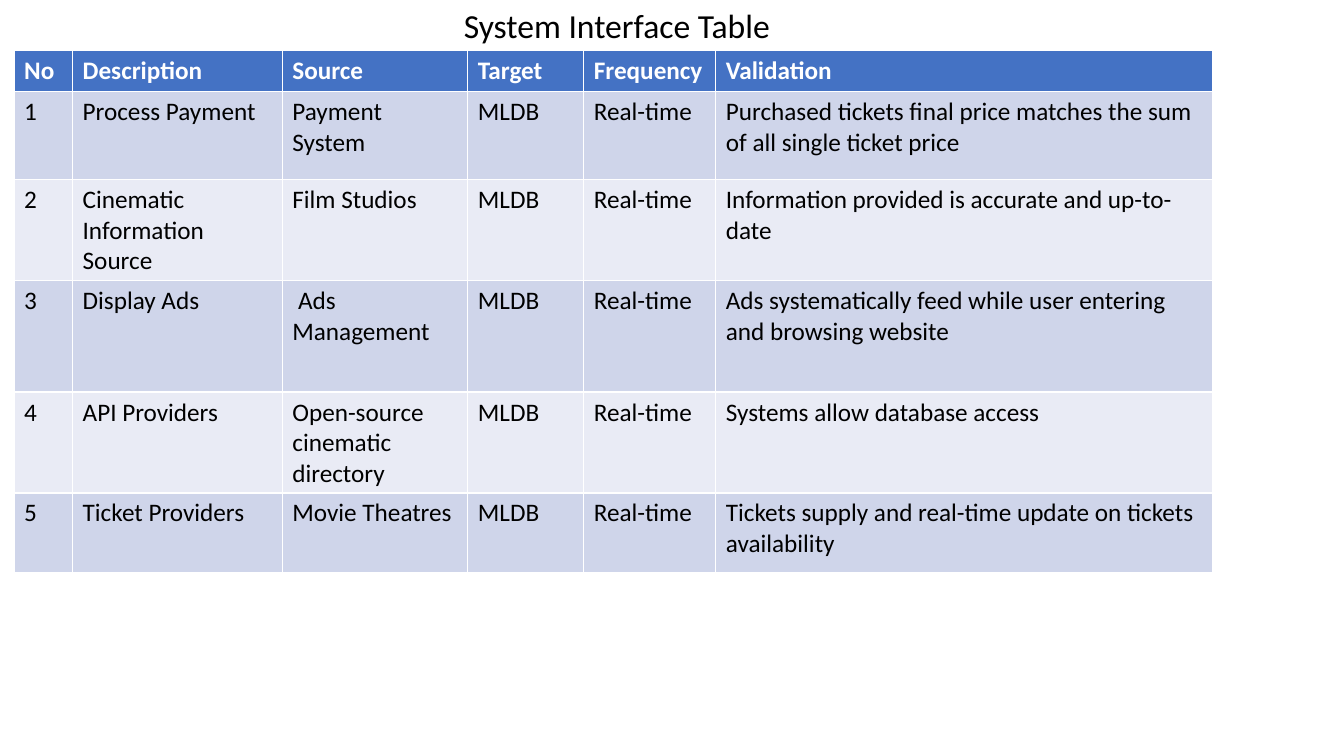
import pptx
import pptx.dml.color
import pptx.enum.text
import pptx.util

SLIDE_WIDTH, SLIDE_HEIGHT = 13.33, 7.5
FONT = "Calibri"
HEADER_FILL = "4472C4"
BAND_FILLS = ("CFD5EA", "E9EBF5")

COLUMN_WIDTHS = (0.58, 2.08, 1.84, 1.15, 1.31, 4.93)
ROW_HEIGHTS = (0.41, 0.87, 0.73, 1.11, 0.87, 0.79)
HEADINGS = ("No", "Description", "Source", "Target", "Frequency", "Validation")
TARGET, FREQUENCY = "MLDB", "Real-time"
INTERFACES = (
    ("Process Payment", "Payment System",
     "Purchased tickets final price matches the sum of all single ticket price"),
    ("Cinematic Information Source", "Film Studios",
     "Information provided is accurate and up-to-date"),
    ("Display Ads", " Ads Management",
     "Ads systematically feed while user entering and browsing website"),
    ("API Providers", "Open-source cinematic directory",
     "Systems allow database access"),
    ("Ticket Providers", "Movie Theatres",
     "Tickets supply and real-time update on tickets availability"),
)


def color(value):
    """Turn a hex string into a colour."""
    return pptx.dml.color.RGBColor.from_string(value)


def format_text(frame, size, value, bold=False):
    """Set the font of every run in a text frame."""
    for para in frame.paragraphs:
        for run in para.runs:
            run.font.name = FONT
            run.font.size = pptx.util.Pt(size)
            run.font.bold = bold
            run.font.color.rgb = color(value)


def add_title(page, text):
    """Place the title in the narrow strip above the table."""
    title = page.shapes.title
    title.left, title.top = pptx.util.Inches(4.5), 0
    title.width, title.height = pptx.util.Inches(3.27), pptx.util.Inches(0.5)
    frame = title.text_frame
    frame.text = text
    frame.word_wrap = False
    frame.auto_size = pptx.enum.text.MSO_AUTO_SIZE.SHAPE_TO_FIT_TEXT
    frame.vertical_anchor = pptx.enum.text.MSO_ANCHOR.TOP
    frame.paragraphs[0].alignment = pptx.enum.text.PP_ALIGN.LEFT
    format_text(frame, 24, "000000")


def fill_cell(cell, text, fill, text_color, bold):
    """Write and colour one table cell."""
    cell.text = text
    cell.fill.solid()
    cell.fill.fore_color.rgb = color(fill)
    format_text(cell.text_frame, 18, text_color, bold)


def add_interface_table(page, left, top):
    """Add the header row and the banded interface rows."""
    rows = [HEADINGS]
    for number, (description, source, validation) in enumerate(INTERFACES, 1):
        rows.append((str(number), description, source, TARGET, FREQUENCY, validation))
    frame = page.shapes.add_table(
        len(rows), len(HEADINGS), pptx.util.Inches(left), pptx.util.Inches(top),
        pptx.util.Inches(sum(COLUMN_WIDTHS)), pptx.util.Inches(sum(ROW_HEIGHTS)))
    table = frame.table
    for column, width in zip(table.columns, COLUMN_WIDTHS):
        column.width = pptx.util.Inches(width)
    for index, (row, texts) in enumerate(zip(table.rows, rows)):
        row.height = pptx.util.Inches(ROW_HEIGHTS[index])
        header = index == 0
        fill = HEADER_FILL if header else BAND_FILLS[(index - 1) % 2]
        for cell, text in zip(row.cells, texts):
            fill_cell(cell, text, fill, "FFFFFF" if header else "000000", header)


def main():
    """Build the slide and save the deck."""
    deck = pptx.Presentation()
    deck.slide_width = pptx.util.Inches(SLIDE_WIDTH)
    deck.slide_height = pptx.util.Inches(SLIDE_HEIGHT)
    page = deck.slides.add_slide(deck.slide_layouts.get_by_name("Title Only"))
    add_interface_table(page, 0.14, 0.5)
    add_title(page, "System Interface Table")
    deck.save("out.pptx")


main()
